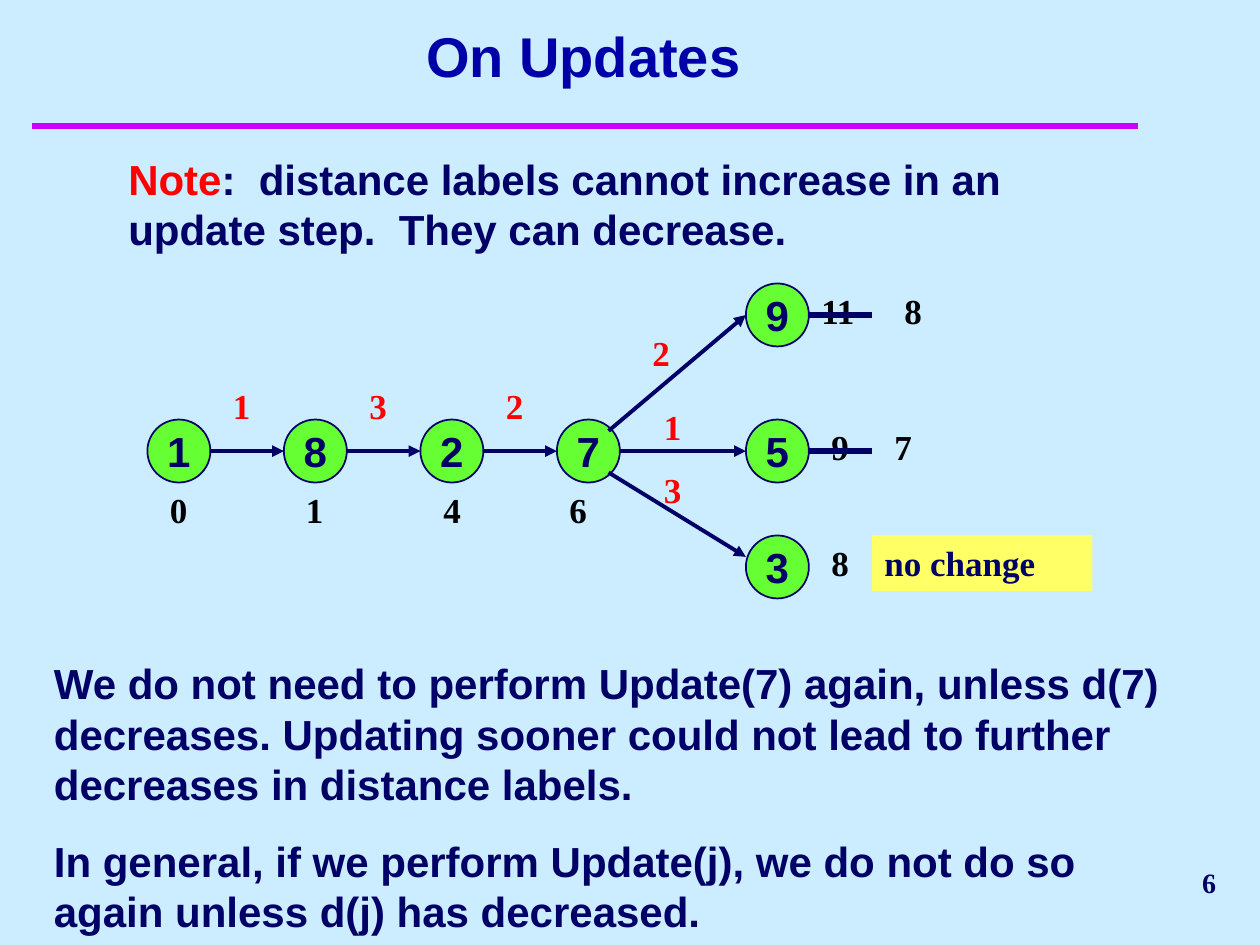
from lxml import etree
from pptx import Presentation
from pptx.dml.color import RGBColor
from pptx.enum.shapes import MSO_CONNECTOR, MSO_SHAPE
from pptx.enum.text import MSO_ANCHOR, PP_ALIGN
from pptx.oxml.ns import qn
from pptx.util import Inches, Pt

STRAIGHT = MSO_CONNECTOR.STRAIGHT
OVAL, RECT = MSO_SHAPE.OVAL, MSO_SHAPE.RECTANGLE
TOP, MIDDLE, BOTTOM = MSO_ANCHOR.TOP, MSO_ANCHOR.MIDDLE, MSO_ANCHOR.BOTTOM
LEFT, CENTER, RIGHT = PP_ALIGN.LEFT, PP_ALIGN.CENTER, PP_ALIGN.RIGHT

SANS, SERIF = "Arial", "Times New Roman"
COLORS = {
    "back": "CCECFF", "rule": "CC00FF", "title": "0000A8", "navy": "000066",
    "red": "FF0000", "black": "000000", "node": "66FF33", "note": "FFFF66",
}
SIZE = 0.5    # node diameter
ROW = 3.33    # top of the main row of nodes
STEP = 13 / 12  # distance between nodes in that row
START = 1.17  # left of the first node
FAN = 5.92    # left of the nodes on the right


def rgb(name):
    return RGBColor.from_string(COLORS[name])


def write(shape, paras, size, font, align=LEFT, anchor=TOP, wrap=True):
    """Fill a shape with paragraphs, each a list of (text, color) runs."""
    frame = shape.text_frame
    frame.word_wrap = wrap
    frame.vertical_anchor = anchor
    for i, runs in enumerate(paras):
        para = frame.add_paragraph() if i else frame.paragraphs[0]
        para.alignment = align
        if i:
            para.space_before = Pt(15)
        for text, color in runs:
            run = para.add_run()
            run.text = text
            run.font.size = Pt(size)
            run.font.name = font
            run.font.bold = True
            run.font.color.rgb = rgb(color)


def add_text(slide, box, paras, size, font, **style):
    shape = slide.shapes.add_textbox(*map(Inches, box))
    write(shape, paras, size, font, **style)


def add_label(slide, x, y, text, color, width=0.5):
    add_text(slide, (x, y, width, 0.44), [[(text, color)]], 20, SERIF)


def add_filled(slide, kind, box, fill):
    shape = slide.shapes.add_shape(kind, *map(Inches, box))
    shape.shadow.inherit = False
    shape.fill.solid()
    shape.fill.fore_color.rgb = rgb(fill)
    return shape


def add_node(slide, x, y, text):
    node = add_filled(slide, OVAL, (x, y, SIZE, SIZE), "node")
    node.line.color.rgb = rgb("navy")
    node.line.width = Pt(1)
    write(node, [[(text, "navy")]], 24, SANS, CENTER, MIDDLE, wrap=False)


def add_line(slide, start, end, width, color="navy", arrow=False):
    line = slide.shapes.add_connector(STRAIGHT, *map(Inches, start + end))
    line.line.color.rgb = rgb(color)
    line.line.width = Pt(width)
    if arrow:
        tip = etree.SubElement(line.line._get_or_add_ln(), qn("a:tailEnd"))
        tip.set("type", "triangle")
    etree.SubElement(line._element.spPr, qn("a:effectLst"))


def add_chain(slide):
    """Main row: nodes, their distances, and the arcs between them."""
    mid = ROW + SIZE / 2
    dists = zip("1827", "0146", (1.25, 2.33, 3.42, 4.42))
    for i, (name, dist, left) in enumerate(dists):
        add_node(slide, START + i * STEP, ROW, name)
        add_label(slide, left, 3.83, dist, "black")
    for i, cost in enumerate("132"):
        x = START + SIZE + i * STEP
        add_line(slide, (x, mid), (x + STEP - SIZE, mid), 2.25, arrow=True)
        add_label(slide, x + 0.08, 3, cost, "red")


def add_fan(slide):
    """Arcs from node 7 to the three nodes on the right."""
    arcs = [
        ("9", 2.25, (4.83, 3.42), 2.5, "2", (5.08, 2.58)),
        ("5", ROW, (4.92, 3.58), 3.58, "1", (5.17, 3.17)),
        ("3", 4.25, (4.83, 3.75), 4.42, "3", (5.17, 3.67)),
    ]
    for name, top, start, end, cost, spot in arcs:
        add_line(slide, start, (FAN, end), 2.25, arrow=True)
        add_node(slide, FAN, top, name)
        add_label(slide, *spot, cost, "red")


def add_dists(slide):
    """Old distances, struck out where a new one replaces them."""
    edge = FAN + SIZE
    for top, old, left, new, right in [
        (2.25, "11", 6.42, "8", 7.08),
        (ROW, "9", 6.5, "7", 7),
    ]:
        mid = top + SIZE / 2
        add_label(slide, left, top, old, "black", 0.58)
        add_line(slide, (edge + SIZE, mid), (edge, mid), 3)
        add_label(slide, right, top, new, "black")
    add_label(slide, 6.5, 4.25, "8", "black", 0.58)
    tag = add_filled(slide, RECT, (6.92, 4.25, 1.75, 0.44), "note")
    tag.line.fill.background()
    write(tag, [[("no change", "navy")]], 20, SERIF)


def main():
    deck = Presentation()
    deck.slide_width, deck.slide_height = Inches(10), Inches(7.5)
    slide = deck.slides.add_slide(deck.slide_layouts[6])
    slide.background.fill.solid()
    slide.background.fill.fore_color.rgb = rgb("back")

    # Title, rule and page number
    add_line(slide, (0.25, 1), (9.03, 1), 4, "rule")
    add_text(slide, (7.83, 6.75, 1.92, 0.5), [[("6", "navy")]], 16, SERIF,
             align=RIGHT, anchor=MIDDLE)
    add_text(slide, (0.42, 0, 8.42, 0.75), [[("On Updates", "title")]], 32,
             SANS, align=CENTER, anchor=BOTTOM)

    # Statements above and below the graph
    add_text(slide, (0.92, 1.17, 7.83, 0.9), [[
        ("Note", "red"),
        (":  distance labels cannot increase in an update step.  "
         "They can decrease.", "navy"),
    ]], 24, SANS)
    add_text(slide, (0.33, 5.17, 9.17, 2.31), [
        [("We do not need to perform Update(7) again, unless d(7) decreases. "
          "Updating sooner could not lead to further decreases in distance "
          "labels.", "navy")],
        [("In general, if we perform Update(j), we do not do so again unless "
          "d(j) has decreased.", "navy")],
    ], 24, SANS)

    # Graph
    add_chain(slide)
    add_fan(slide)
    add_dists(slide)
    deck.save("out.pptx")


if __name__ == "__main__":
    main()
